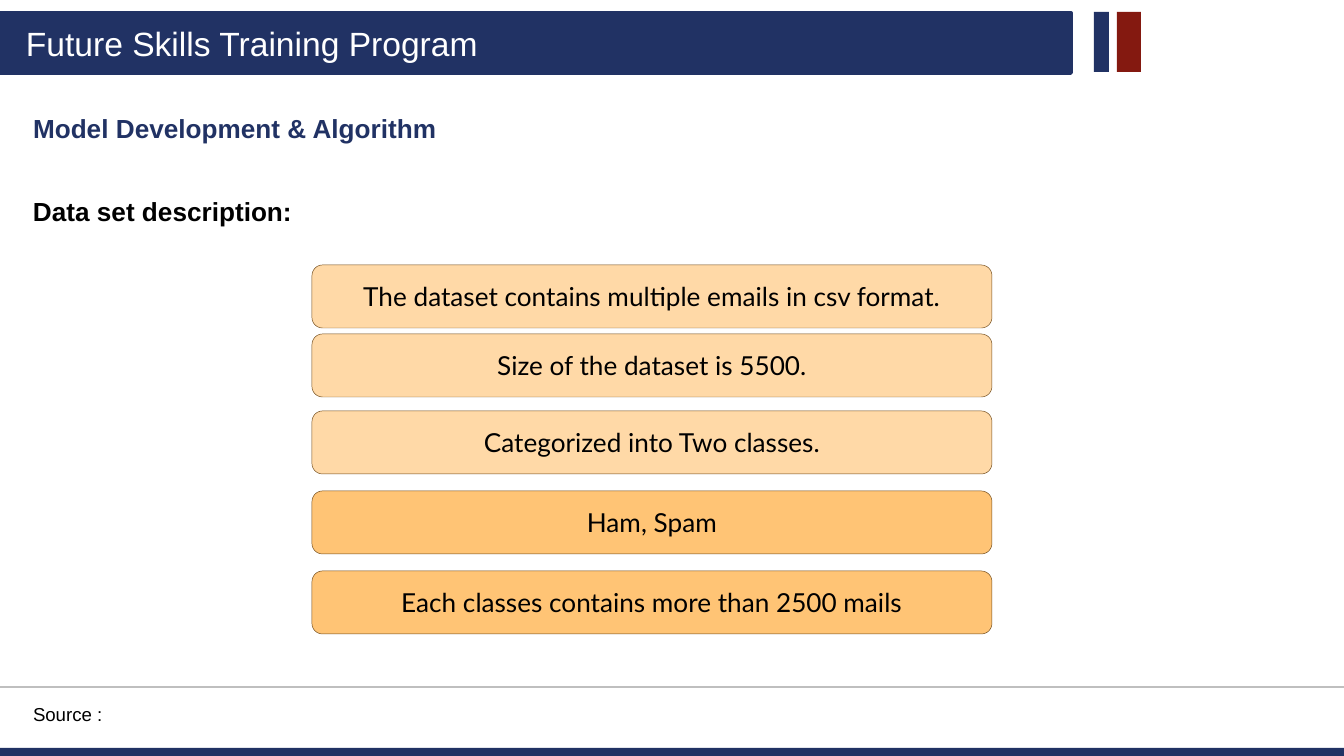
from pptx import Presentation
from pptx import util as u
from pptx.dml.color import RGBColor
from pptx.enum import shapes, text
from pptx.oxml.ns import qn
from lxml import etree

SCALE = 914400 / 134.4
INK = {
    "navy": "213264",
    "red": "841910",
    "white": "FFFFFF",
    "black": "000000",
    "gray": "BFBFBF",
    "brown": "704B1C",
    "peach": "FFD9A7",
    "orange": "FFC475",
}
FACTS = [
    (265, "peach", "The dataset contains multiple emails in csv format."),
    (334, "peach", "Size of the dataset is 5500."),
    (411, "peach", "Categorized into Two classes."),
    (491, "orange", "Ham, Spam"),
    (571, "orange", "Each classes contains more than 2500 mails"),
]


def px(n):
    return round(n * SCALE)


def rgb(name):
    return RGBColor.from_string(INK[name])


def write(frame, words, size=14, font="Arial", color="black", bold=False,
          align=text.PP_ALIGN.LEFT, anchor=text.MSO_ANCHOR.TOP):
    frame.word_wrap = True
    frame.vertical_anchor = anchor
    para = frame.paragraphs[0]
    para.alignment = align
    run = para.add_run()
    run.text = words
    run.font.size = u.Pt(size)
    run.font.name = font
    run.font.bold = bold
    run.font.color.rgb = rgb(color)


def add_box(slide, x, y, w, h, fill, kind=shapes.MSO_SHAPE.RECTANGLE,
            edge=None, width=1):
    box = slide.shapes.add_shape(kind, px(x), px(y), px(w), px(h))
    box.shadow.inherit = False
    box.fill.solid()
    box.fill.fore_color.rgb = rgb(fill)
    if edge:
        box.line.color.rgb = rgb(edge)
        box.line.width = u.Pt(width)
    else:
        box.line.fill.background()
    return box


def add_label(slide, x, y, w, h, words, pad=7, **style):
    label = slide.shapes.add_textbox(px(x), px(y), px(w), px(h))
    frame = label.text_frame
    frame.margin_top = frame.margin_bottom = px(pad)
    frame.margin_left = frame.margin_right = px(13)
    write(frame, words, **style)


def add_rule(slide, y, w):
    rule = slide.shapes.add_connector(
        shapes.MSO_CONNECTOR.STRAIGHT, 0, px(y), px(w), px(y))
    rule.line.color.rgb = rgb("gray")
    rule.line.width = u.Pt(0.75)
    etree.SubElement(rule._element.spPr, qn("a:effectLst"))


def add_fact(slide, y, fill, words):
    card = add_box(slide, 312, y, 680, 63, fill,
                   shapes.MSO_SHAPE.ROUNDED_RECTANGLE, "brown", 0.25)
    write(card.text_frame, words, font="Lato",
          align=text.PP_ALIGN.CENTER, anchor=text.MSO_ANCHOR.MIDDLE)


def main():
    deck = Presentation()
    deck.slide_width, deck.slide_height = px(1344), px(756)
    slide = deck.slides.add_slide(deck.slide_layouts[6])

    add_box(slide, 1117, 12, 24, 60, "red")
    add_box(slide, 1094, 12, 15, 60, "navy")
    add_box(slide, 0, 748, 1344, 10, "navy")
    add_box(slide, 0, 13, 1071, 60, "navy", edge="navy", width=2)
    add_label(slide, 13, 16, 581, 54, "Future Skills Training Program",
              size=18, color="white")

    add_rule(slide, 687, 1344)
    add_label(slide, 20, 692, 104, 47, "Source :", pad=13, size=10)
    add_label(slide, 20, 105, 457, 77, "Model Development & Algorithm",
              color="navy", bold=True)
    add_label(slide, 20, 188, 292, 46, "Data set description:", bold=True)

    for y, fill, words in FACTS:
        add_fact(slide, y, fill, words)

    deck.save("out.pptx")


if __name__ == "__main__":
    main()
